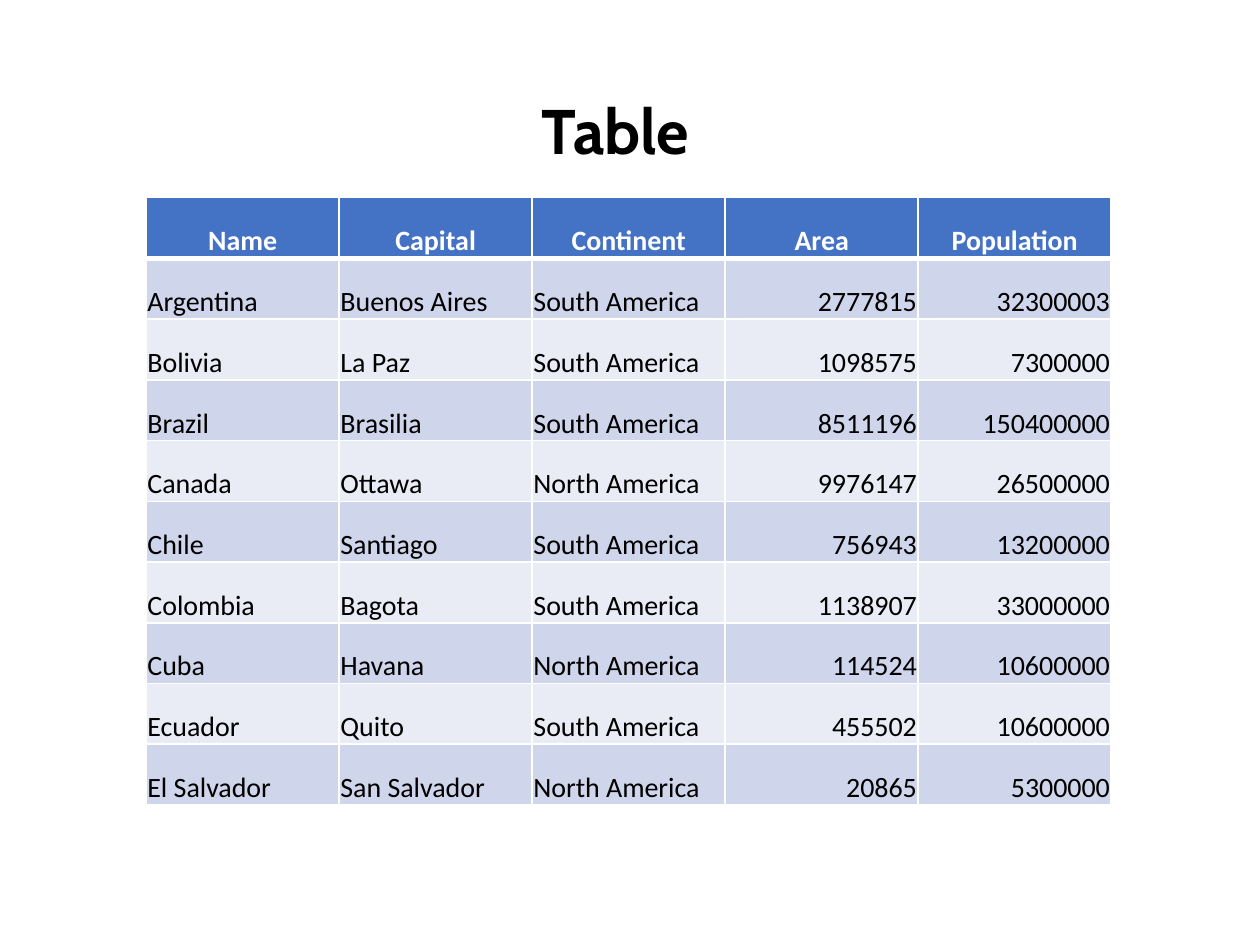
import pptx
import pptx.util
import pptx.dml.color
import pptx.enum.text
import pptx.oxml
import pptx.oxml.ns

Pt = pptx.util.Pt
RGB = pptx.dml.color.RGBColor
ALIGN = pptx.enum.text.PP_ALIGN
ANCHOR = pptx.enum.text.MSO_ANCHOR

BLACK = RGB(0x00, 0x00, 0x00)
WHITE = RGB(0xFF, 0xFF, 0xFF)
BLUE = RGB(0x44, 0x72, 0xC4)
BANDS = (RGB(0xCF, 0xD5, 0xEA), RGB(0xE9, 0xEB, 0xF5))

TITLE = "Table"
HEADS = ("Name", "Capital", "Continent", "Area", "Population")
LANDS = [
    ("Argentina", "Buenos Aires", "South America", 2777815, 32300003),
    ("Bolivia", "La Paz", "South America", 1098575, 7300000),
    ("Brazil", "Brasilia", "South America", 8511196, 150400000),
    ("Canada", "Ottawa", "North America", 9976147, 26500000),
    ("Chile", "Santiago", "South America", 756943, 13200000),
    ("Colombia", "Bagota", "South America", 1138907, 33000000),
    ("Cuba", "Havana", "North America", 114524, 10600000),
    ("Ecuador", "Quito", "South America", 455502, 10600000),
    ("El Salvador", "San Salvador", "North America", 20865, 5300000),
]

LEFT, TOP, COL, ROW = 83.5, 113, 110.3, 34.7
TITLE_BOX = (275, 49, 153.4, 51)
INSETS = {"margin_left": Pt(0.75), "margin_top": Pt(0.75),
          "margin_right": Pt(0.75), "margin_bottom": Pt(0)}


def style(item, values):
    for name, value in values.items():
        setattr(item, name, value)


def write(para, text, align, size, face, color, bold):
    para.alignment = align
    run = para.add_run()
    run.text = text
    style(run.font, {"size": Pt(size), "name": face, "bold": bold})
    run.font.color.rgb = color


def border(cell, top, bottom):
    """Draw white cell edges; they must come before the fill in the XML."""
    props = cell._tc.get_or_add_tcPr()
    widths = {"lnL": 1, "lnR": 1, "lnT": top, "lnB": bottom}
    for spot, (tag, width) in enumerate(widths.items()):
        line = pptx.oxml.parse_xml(
            f'<a:{tag} {pptx.oxml.ns.nsdecls("a")} w="{Pt(width)}">'
            f'<a:solidFill><a:srgbClr val="{WHITE}"/></a:solidFill></a:{tag}>')
        props.insert(spot, line)


deck = pptx.Presentation()
style(deck, {"slide_width": Pt(720), "slide_height": Pt(540)})
slide = deck.slides.add_slide(deck.slide_layouts[6])

rows = [HEADS] + LANDS
table = slide.shapes.add_table(
    len(rows), len(HEADS), Pt(LEFT), Pt(TOP),
    Pt(COL * len(HEADS)), Pt(ROW * len(rows))).table
for col in table.columns:
    col.width = Pt(COL)
for row in table.rows:
    row.height = Pt(ROW)

for r, row in enumerate(rows):
    head = r == 0
    for c, value in enumerate(row):
        cell = table.cell(r, c)
        style(cell, INSETS)
        cell.vertical_anchor = ANCHOR.BOTTOM
        cell.fill.solid()
        cell.fill.fore_color.rgb = BLUE if head else BANDS[(r - 1) % 2]
        border(cell, 3 if r == 1 else 1, 3 if head else 1)
        if head:
            align = ALIGN.CENTER
        else:
            align = ALIGN.RIGHT if isinstance(value, int) else ALIGN.LEFT
        write(cell.text_frame.paragraphs[0], str(value), align, 16, "Calibri",
              WHITE if head else BLACK, head)

frame = slide.shapes.add_textbox(*map(Pt, TITLE_BOX)).text_frame
style(frame, {"word_wrap": True,
              "auto_size": pptx.enum.text.MSO_AUTO_SIZE.SHAPE_TO_FIT_TEXT})
write(frame.paragraphs[0], TITLE, ALIGN.CENTER, 36, "Cabin", BLACK, True)

deck.save("out.pptx")
